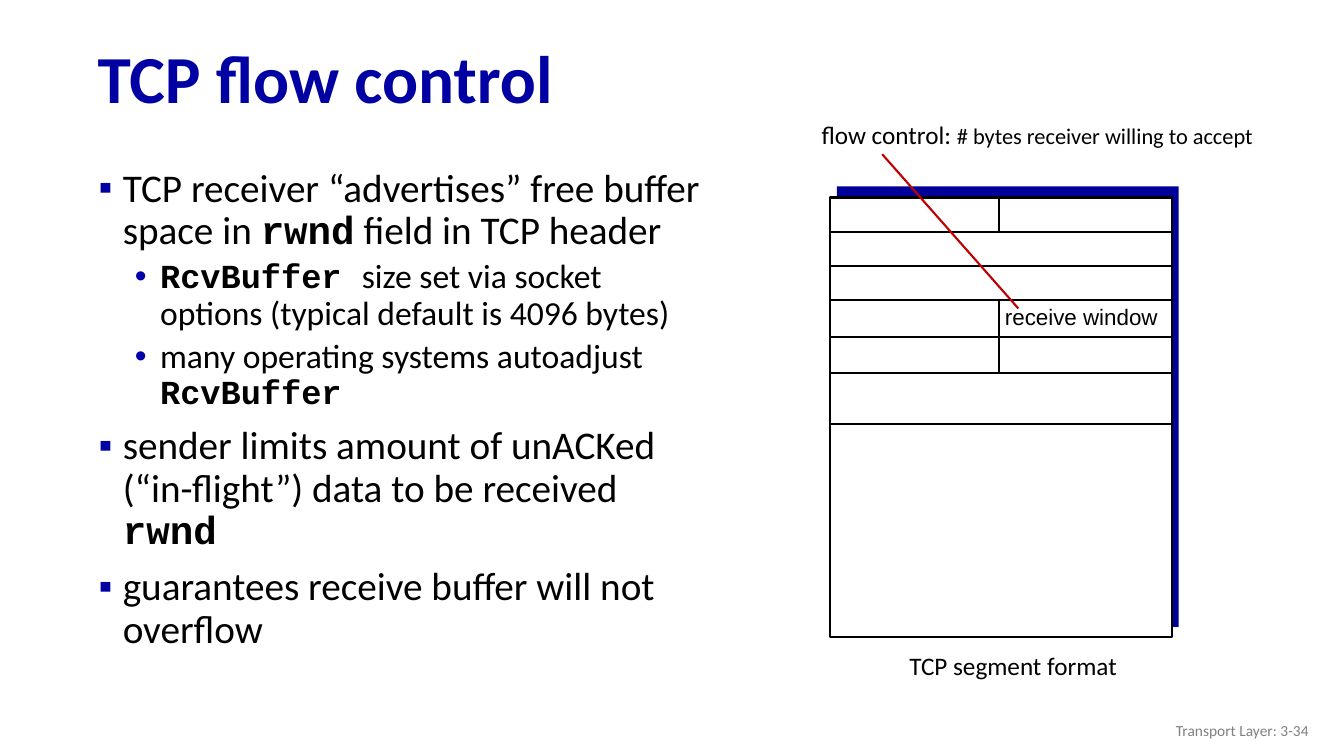
import dataclasses
import typing

import lxml.etree
import pptx
import pptx.dml.color
import pptx.enum.shapes
import pptx.enum.text
import pptx.oxml.ns
import pptx.util

EMU_PER_PX = 9144  # 100 px to the inch
BLACK, WHITE, GRAY = "000000", "FFFFFF", "808080"
TITLE_BLUE, BULLET_BLUE, SHADE_BLUE, RED = "0000A3", "0000A8", "000099", "C00000"
BODY_FONT, CODE_FONT, LABEL_FONT = "Calibri", "Courier New", "Arial"
Align = pptx.enum.text.PP_ALIGN
Anchor = pptx.enum.text.MSO_ANCHOR


class Box(typing.NamedTuple):
    left: int
    top: int
    width: int
    height: int


class Line(typing.NamedTuple):
    start_x: int
    start_y: int
    end_x: int
    end_y: int
    color: str = BLACK


class Span(typing.NamedTuple):
    text: str
    size: int
    font: str = BODY_FONT
    bold: bool = False
    color: str = BLACK


class Bullet(typing.NamedTuple):
    character: str
    color: str
    level: int
    margin: int
    indent: int
    space_before: int
    size: int


@dataclasses.dataclass
class Label:
    box: Box
    spans: list[Span]
    alignment: Align = Align.LEFT
    anchor: Anchor = Anchor.TOP
    line_spacing: float = 0.9
    wrap: bool = True


SQUARE = Bullet("▪", TITLE_BLUE, 0, 39, -24, 10, 28)
DOT = Bullet("•", BULLET_BLUE, 1, 76, -25, 5, 24)

# Each part of a bullet is its text and whether it is code.
BODY_BOX = Box(73, 162, 637, 537)
BODY = [
    (SQUARE, [("TCP receiver “advertises” free buffer space in ", False),
              ("rwnd", True), (" field in TCP header", False)]),
    (DOT, [("RcvBuffer ", True),
           ("size set via socket options (typical default is 4096 bytes)", False)]),
    (DOT, [("many operating systems autoadjust ", False), ("RcvBuffer", True)]),
    (SQUARE, [("sender limits amount of unACKed (“in-flight”) data to be received ", False),
              ("rwnd", True)]),
    (SQUARE, [("guarantees receive buffer will not overflow", False)]),
]

SEGMENT = Box(823, 196, 339, 436)
SEGMENT_SHADE = Box(830, 185, 339, 437)
ROW_EDGES = [230, 264, 298, 334, 370, 421]
COLUMN_EDGE = 991
SEGMENT_LINES = [
    *(Line(SEGMENT.left, y, SEGMENT.left + SEGMENT.width, y) for y in ROW_EDGES),
    Line(COLUMN_EDGE, SEGMENT.top, COLUMN_EDGE, ROW_EDGES[0]),
    Line(COLUMN_EDGE, ROW_EDGES[2], COLUMN_EDGE, ROW_EDGES[4]),
    Line(1010, 306, 875, 153, RED),
]

LABELS = [
    Label(Box(87, 32, 1246, 98),
          [Span("TCP flow control", 48, bold=True, color=TITLE_BLUE)], anchor=Anchor.MIDDLE),
    Label(Box(805, 117, 476, 37),
          [Span("flow control: ", 18), Span("# bytes receiver willing to accept", 16)]),
    Label(Box(986, 296, 173, 37), [Span("receive window", 16, LABEL_FONT)],
          alignment=Align.CENTER, line_spacing=1.0, wrap=False),
    Label(Box(892, 644, 253, 37), [Span("TCP segment format", 18)]),
    Label(Box(1008, 705, 300, 40), [Span("Transport Layer: 3-34", 11, color=GRAY)],
          alignment=Align.RIGHT, anchor=Anchor.MIDDLE, line_spacing=1.0),
]


def px(length: int) -> pptx.util.Emu:
    return pptx.util.Emu(length * EMU_PER_PX)


def rgb(color: str) -> pptx.dml.color.RGBColor:
    return pptx.dml.color.RGBColor.from_string(color)


def set_attributes(target: typing.Any, values: dict[str, typing.Any]) -> None:
    for name, value in values.items():
        setattr(target, name, value)


def add_spans(paragraph: typing.Any, spans: list[Span]) -> None:
    for span in spans:
        run = paragraph.add_run()
        run.text = span.text
        set_attributes(run.font, {"size": pptx.util.Pt(span.size), "name": span.font,
                                  "bold": span.bold})
        run.font.color.rgb = rgb(span.color)


def add_text_frame(slide: typing.Any, box: Box, anchor: Anchor = Anchor.TOP,
                   wrap: bool = True) -> typing.Any:
    frame = slide.shapes.add_textbox(*map(px, box)).text_frame
    set_attributes(frame, {"word_wrap": wrap, "vertical_anchor": anchor})
    return frame


def add_label(slide: typing.Any, label: Label) -> None:
    paragraph = add_text_frame(slide, label.box, label.anchor, label.wrap).paragraphs[0]
    set_attributes(paragraph, {"alignment": label.alignment,
                               "line_spacing": label.line_spacing})
    add_spans(paragraph, label.spans)


def set_bullet(paragraph: typing.Any, bullet: Bullet) -> None:
    properties = paragraph._p.get_or_add_pPr()
    properties.set("marL", str(px(bullet.margin)))
    properties.set("indent", str(px(bullet.indent)))
    qn = pptx.oxml.ns.qn
    color = lxml.etree.SubElement(properties, qn("a:buClr"))
    lxml.etree.SubElement(color, qn("a:srgbClr"), val=bullet.color)
    lxml.etree.SubElement(properties, qn("a:buFont"), typeface=LABEL_FONT)
    lxml.etree.SubElement(properties, qn("a:buChar"), char=bullet.character)


def add_body(slide: typing.Any) -> None:
    frame = add_text_frame(slide, BODY_BOX)
    for index, (bullet, parts) in enumerate(BODY):
        paragraph = frame.add_paragraph() if index else frame.paragraphs[0]
        set_bullet(paragraph, bullet)
        space_before = bullet.space_before if index else 0
        set_attributes(paragraph, {"level": bullet.level, "line_spacing": 0.9,
                                   "space_before": pptx.util.Pt(space_before)})
        add_spans(paragraph, [Span(text, bullet.size, CODE_FONT if code else BODY_FONT, code)
                              for text, code in parts])


def add_rectangle(slide: typing.Any, box: Box, fill: str, outline: str | None = None) -> None:
    shape = slide.shapes.add_shape(pptx.enum.shapes.MSO_SHAPE.RECTANGLE, *map(px, box))
    shape.shadow.inherit = False
    shape.fill.solid()
    shape.fill.fore_color.rgb = rgb(fill)
    if outline:
        shape.line.color.rgb = rgb(outline)
        shape.line.width = pptx.util.Pt(1.5)
    else:
        shape.line.fill.background()


def add_line(slide: typing.Any, line: Line) -> None:
    connector = slide.shapes.add_connector(
        pptx.enum.shapes.MSO_CONNECTOR.STRAIGHT, *map(px, line[:4]))
    connector.line.color.rgb = rgb(line.color)
    connector.line.width = pptx.util.Pt(1.5)
    lxml.etree.SubElement(connector._element.spPr, pptx.oxml.ns.qn("a:effectLst"))


def main() -> None:
    presentation = pptx.Presentation()
    set_attributes(presentation, {"slide_width": px(1333), "slide_height": px(750)})
    slide = presentation.slides.add_slide(presentation.slide_layouts[6])
    add_body(slide)
    add_rectangle(slide, SEGMENT_SHADE, SHADE_BLUE)
    add_rectangle(slide, SEGMENT, WHITE, BLACK)
    for line in SEGMENT_LINES:
        add_line(slide, line)
    for label in LABELS:
        add_label(slide, label)
    presentation.save("out.pptx")


if __name__ == "__main__":
    main()
